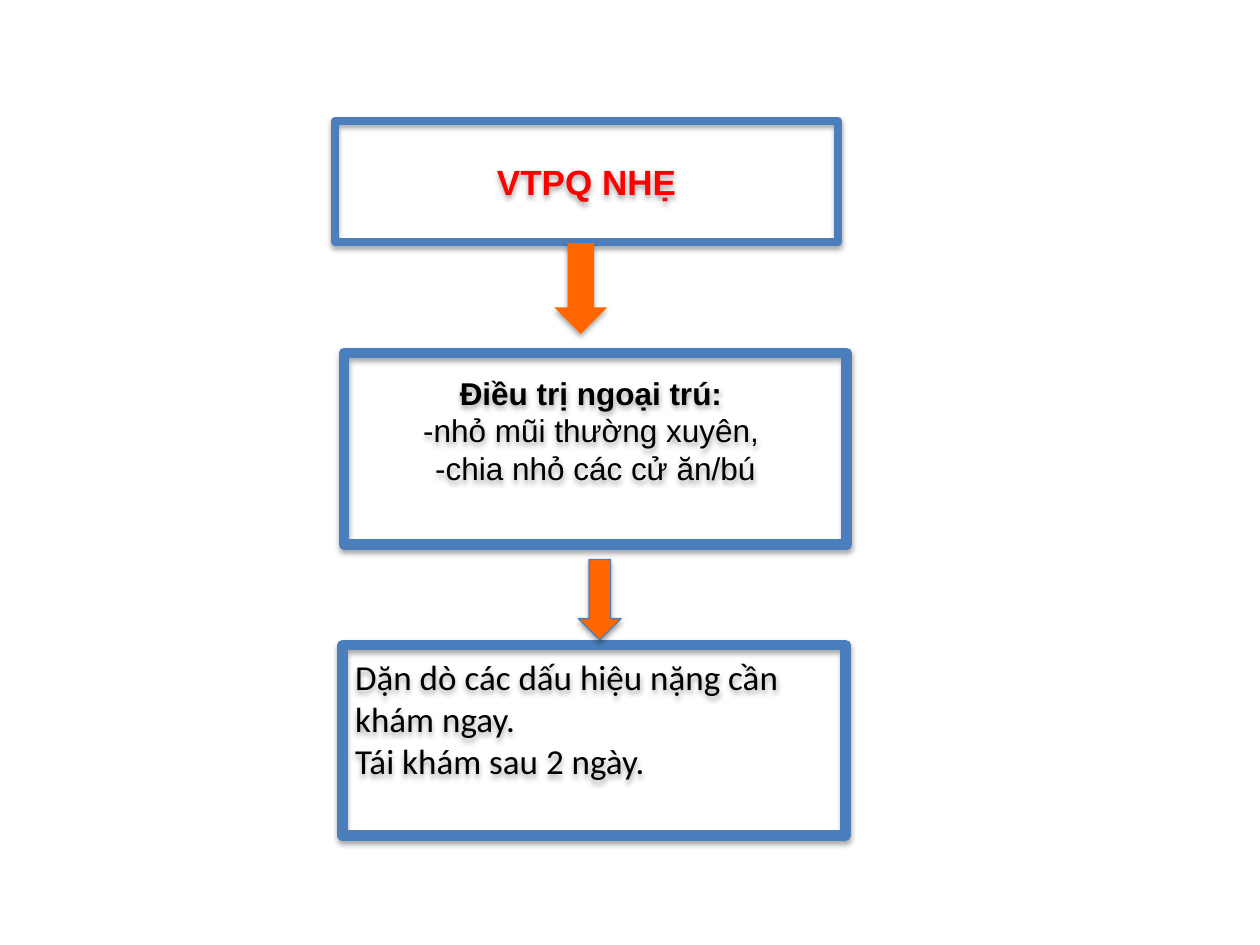
from pptx import Presentation
from pptx.dml.color import RGBColor
from pptx.enum.shapes import MSO_SHAPE
from pptx.enum.text import MSO_ANCHOR, PP_ALIGN
from pptx.util import Inches, Pt

RECTANGLE, DOWN_ARROW = MSO_SHAPE.RECTANGLE, MSO_SHAPE.DOWN_ARROW
MIDDLE = MSO_ANCHOR.MIDDLE
LEFT, CENTER = PP_ALIGN.LEFT, PP_ALIGN.CENTER
BLUE, ORANGE, RED, BLACK = "4B7EBC", "FF6600", "FF0000", "000000"


def color(hex_string):
    return RGBColor.from_string(hex_string)


presentation = Presentation()
presentation.slide_width = Inches(10)
presentation.slide_height = Inches(7.5)
slide = presentation.slides.add_slide(presentation.slide_layouts[6])

# Shapes keep the soft shadow of the theme.
# Position, line width, bottom inset, font, size, colour, alignment, (text, bold)
boxes = [
    ((2.66, 0.96, 3.99, 0.96), 4.5, 0.05, "Arial", 20, RED, CENTER,
     [("VTPQ NHẸ", True)]),
    ((2.73, 2.8, 3.99, 1.52), 6, 0.34, "Arial", 18, BLACK, CENTER,
     [("Điều trị ngoại trú: ", True),
      ("-nhỏ mũi thường xuyên, ", False),
      ("-chia nhỏ các cử ăn/bú", False)]),
    ((2.72, 5.12, 3.99, 1.51), 6, 0.39, "Calibri", 20, BLACK, LEFT,
     [("Dặn dò các dấu hiệu nặng cần khám ngay.", False),
      ("Tái khám sau 2 ngày.", False)]),
]
for position, line_width, inset, font_name, size, text_color, alignment, lines in boxes:
    box = slide.shapes.add_shape(RECTANGLE, *map(Inches, position))
    box.fill.background()
    box.line.color.rgb = color(BLUE)
    box.line.width = Pt(line_width)
    frame = box.text_frame
    frame.word_wrap = True
    frame.vertical_anchor = MIDDLE
    frame.margin_bottom = Inches(inset)
    for index, (text, bold) in enumerate(lines):
        paragraph = frame.add_paragraph() if index else frame.paragraphs[0]
        paragraph.text = text
        paragraph.alignment = alignment
        paragraph.font.name = font_name
        paragraph.font.size = Pt(size)
        paragraph.font.bold = bold
        paragraph.font.color.rgb = color(text_color)

arrows = [((4.4, 1.93, 0.42, 0.72), False), ((4.59, 4.44, 0.34, 0.64), True)]
for position, outlined in arrows:
    arrow = slide.shapes.add_shape(DOWN_ARROW, *map(Inches, position))
    arrow.fill.solid()
    arrow.fill.fore_color.rgb = color(ORANGE)
    if outlined:
        arrow.line.color.rgb = color(BLUE)
        arrow.line.width = Pt(0.75)
    else:
        arrow.line.fill.background()

presentation.save("out.pptx")
